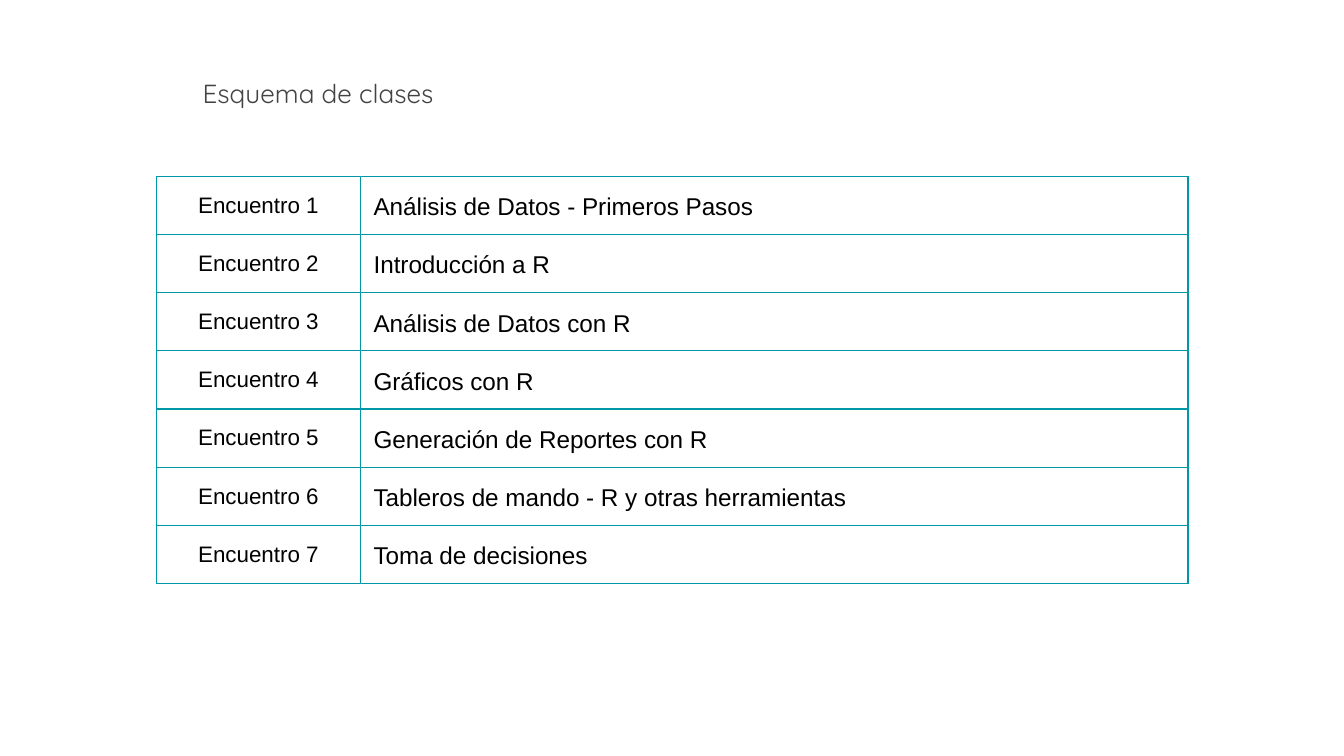
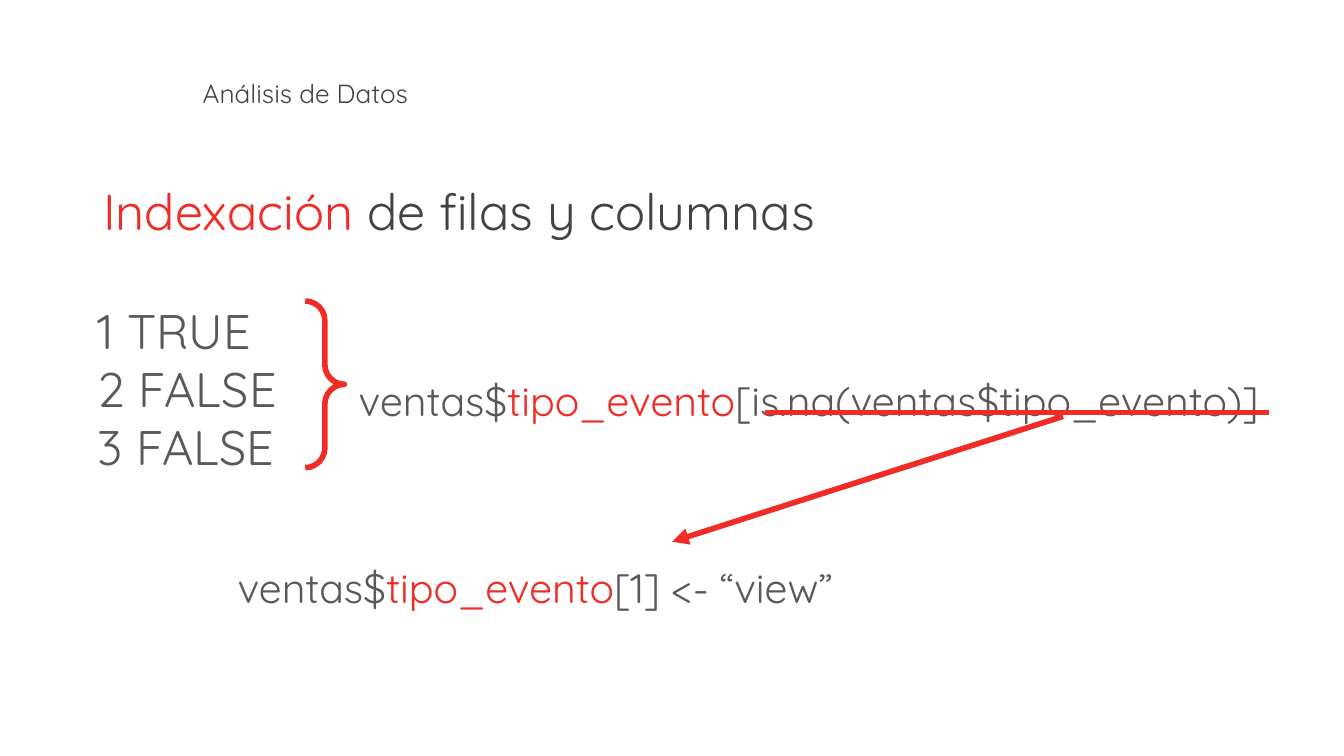
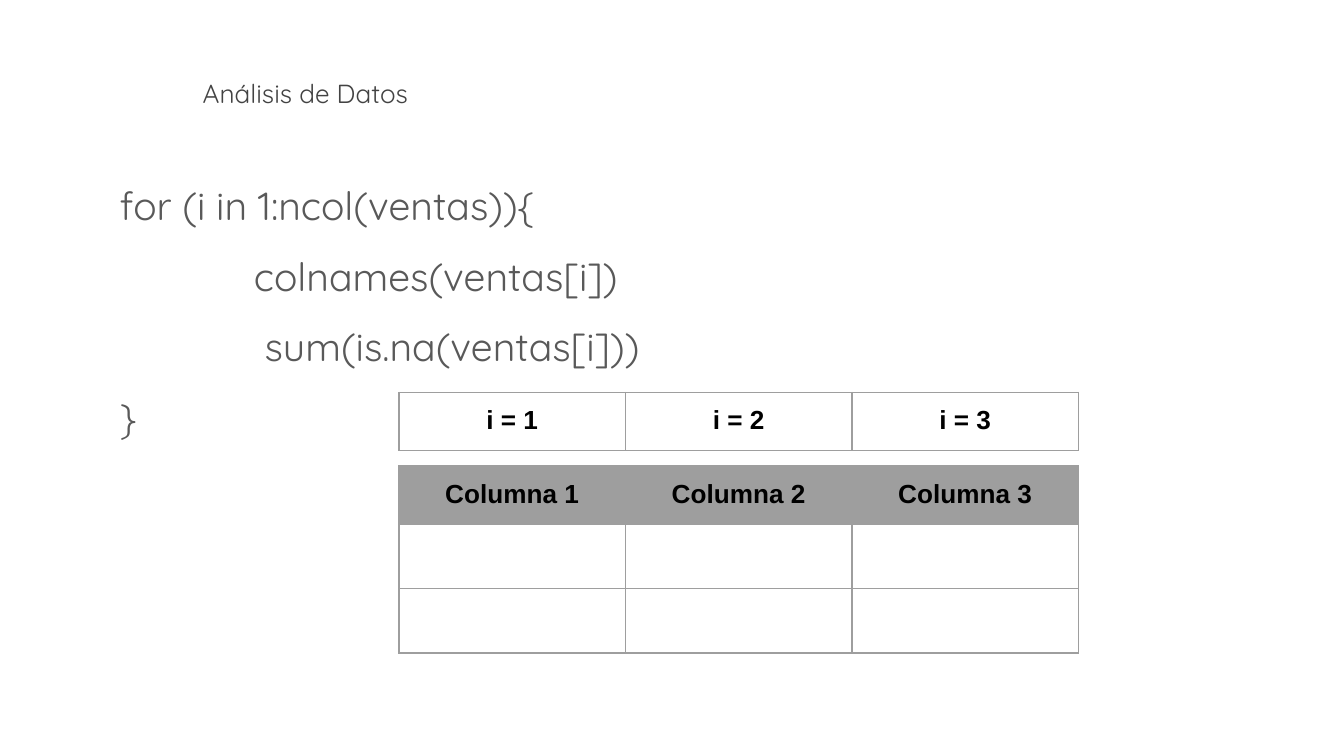
from lxml.etree import SubElement
from pptx import Presentation
from pptx.dml.color import RGBColor
from pptx.enum.shapes import MSO_CONNECTOR, MSO_SHAPE
from pptx.enum.text import MSO_ANCHOR, PP_ALIGN
from pptx.oxml.ns import qn
from pptx.util import Cm, Pt

TEAL = RGBColor(0x00, 0x97, 0xA7)
RED = RGBColor(0xF1, 0x2B, 0x26)
DARK = RGBColor(0x43, 0x43, 0x43)
GRAY = RGBColor(0x59, 0x59, 0x59)
SILVER = RGBColor(0x9E, 0x9E, 0x9E)
BLACK = RGBColor(0x00, 0x00, 0x00)

HEADING_FONT = "Quicksand"
TABLE_FONT = "Arial"
MARGIN = Cm(0.25)
INDENT = Cm(2.54)

SCHEDULE_TITLE = "Esquema de clases"
ANALYSIS_TITLE = "Análisis de Datos"
TOPICS = [
    "Análisis de Datos - Primeros Pasos",
    "Introducción a R",
    "Análisis de Datos con R",
    "Gráficos con R",
    "Generación de Reportes con R",
    "Tableros de mando - R y otras herramientas",
    "Toma de decisiones",
]
INDEXING_HEADING = [("Indexación", RED), (" de filas y columnas", DARK)]
LOGICAL_VALUES = ["1 TRUE", "2 FALSE", "3 FALSE"]
COLUMN_REFERENCE = [("ventas$", GRAY), ("tipo_evento", RED)]
FILTER_CODE = COLUMN_REFERENCE + [("[is.na(ventas$tipo_evento)]", GRAY)]
ASSIGNMENT_CODE = COLUMN_REFERENCE + [("[1] <- “view”", GRAY)]
LOOP_CODE = [
    "for (i in 1:ncol(ventas)){",
    "colnames(ventas[i])",
    " sum(is.na(ventas[i]))",
    "}",
]
LOOP_INDENTS = [0, INDENT, INDENT, 0]
ITERATIONS = [[f"i = {number}" for number in range(1, 4)]]
COLUMNS = [[f"Columna {number}" for number in range(1, 4)], [""] * 3, [""] * 3]


def write_text(frame, lines, size, font=HEADING_FONT, color=GRAY, bold=False,
               align=None, spacing=None, indents=None):
    frame.word_wrap = True
    for index, line in enumerate(lines):
        paragraph = frame.paragraphs[0] if index == 0 else frame.add_paragraph()
        paragraph.alignment = align
        paragraph.line_spacing = spacing
        if indents and indents[index]:
            properties = paragraph._p.get_or_add_pPr()
            properties.set("marL", str(indents[index]))
            properties.set("indent", "0")
        if not line:
            SubElement(paragraph._p, qn("a:endParaRPr"), sz=str(size * 100))
            continue
        for text, run_color in [(line, color)] if isinstance(line, str) else line:
            run = paragraph.add_run()
            run.text = text
            run.font.size = Pt(size)
            run.font.name = font
            run.font.bold = bold
            run.font.color.rgb = run_color


def set_margins(target):
    target.margin_left = target.margin_right = MARGIN
    target.margin_top = target.margin_bottom = MARGIN


def add_text(slide, lines, left, top, width, height, **text_format):
    frame = slide.shapes.add_textbox(Cm(left), Cm(top), Cm(width), Cm(height)).text_frame
    set_margins(frame)
    write_text(frame, lines, **text_format)


def add_title(slide, title):
    add_text(slide, [title], 3.58, 1.22, 9.47, 0.89, size=14, color=DARK)


def add_borders(cell, color):
    properties = cell._tc.get_or_add_tcPr()
    for side in ("a:lnL", "a:lnR", "a:lnT", "a:lnB"):
        border = SubElement(properties, qn(side), w=str(Pt(0.75)))
        fill = SubElement(border, qn("a:solidFill"))
        SubElement(fill, qn("a:srgbClr"), val=str(color))


def add_table(slide, rows, left, top, widths, heights, border, column_formats,
              header_fill=None, anchor=MSO_ANCHOR.TOP):
    table = slide.shapes.add_table(len(rows), len(widths), Cm(left), Cm(top),
                                   Cm(sum(widths)), Cm(sum(heights))).table
    table.first_row = table.horz_banding = False
    for column, width in zip(table.columns, widths):
        column.width = Cm(width)
    for row_index, values in enumerate(rows):
        table.rows[row_index].height = Cm(heights[row_index])
        for column_index, value in enumerate(values):
            cell = table.cell(row_index, column_index)
            set_margins(cell)
            cell.vertical_anchor = anchor
            add_borders(cell, border)
            if header_fill and row_index == 0:
                cell.fill.solid()
                cell.fill.fore_color.rgb = header_fill
            else:
                cell.fill.background()
            write_text(cell.text_frame, [value], font=TABLE_FONT, color=BLACK,
                       **column_formats[column_index])


def add_line(slide, start, end, arrow=False):
    connector = slide.shapes.add_connector(
        MSO_CONNECTOR.STRAIGHT, *[Cm(value) for value in start + end])
    connector.line.color.rgb = RED
    connector.line.width = Pt(3)
    if arrow:
        SubElement(connector.line._get_or_add_ln(), qn("a:tailEnd"), type="triangle")
    SubElement(connector._element.spPr, qn("a:effectLst"))


def build_schedule(slide):
    rows = [[f"Encuentro {number}", topic] for number, topic in enumerate(TOPICS, 1)]
    formats = [dict(size=12, align=PP_ALIGN.CENTER),
               dict(size=13, align=PP_ALIGN.JUSTIFY, spacing=1.15)]
    add_table(slide, rows, 2.96, 3.33, [3.85, 15.64], [1.1] * len(rows), TEAL,
              formats, anchor=MSO_ANCHOR.MIDDLE)
    add_title(slide, SCHEDULE_TITLE)


def build_indexing(slide):
    add_title(slide, ANALYSIS_TITLE)
    add_text(slide, [INDEXING_HEADING], 1.7, 3.15, 21.62, 2.16, size=27)
    brace = slide.shapes.add_shape(MSO_SHAPE.RIGHT_BRACE,
                                   Cm(5.77), Cm(5.69), Cm(0.74), Cm(3.15))
    brace.adjustments[0] = brace.adjustments[1] = 0.5
    brace.shadow.inherit = False
    brace.fill.background()
    brace.line.color.rgb = RED
    brace.line.width = Pt(3)
    add_text(slide, LOGICAL_VALUES, -0.94, 5.44, 8.84, 2.72, size=26,
             indents=[INDENT] * len(LOGICAL_VALUES))
    for code, left, top in [(FILTER_CODE, 3.99, 6.38), (ASSIGNMENT_CODE, 1.7, 9.91)]:
        add_text(slide, [code], left, top, 21.62, 2.16, size=22, spacing=1.5,
                 indents=[INDENT])
    add_line(slide, (20.09, 7.87), (12.7, 10.24), arrow=True)
    add_line(slide, (14.45, 7.8), (23.98, 7.8))


def build_loop(slide):
    add_title(slide, ANALYSIS_TITLE)
    add_text(slide, LOOP_CODE, 2.01, 2.74, 10.69, 5.44, size=21, spacing=1.5,
             indents=LOOP_INDENTS)
    formats = [dict(size=14, bold=True, align=PP_ALIGN.CENTER)] * 3
    widths = [4.28] * 3
    add_table(slide, COLUMNS, 7.54, 8.81, widths, [1.07, 1.22, 1.22], SILVER,
              formats, header_fill=SILVER)
    add_table(slide, ITERATIONS, 7.54, 7.42, widths, [1.07], SILVER, formats)


def main():
    presentation = Presentation()
    presentation.slide_width = Cm(25.4)
    presentation.slide_height = Cm(14.29)
    for build in (build_schedule, build_indexing, build_loop):
        build(presentation.slides.add_slide(presentation.slide_layouts[6]))
    presentation.save("out.pptx")


if __name__ == "__main__":
    main()
